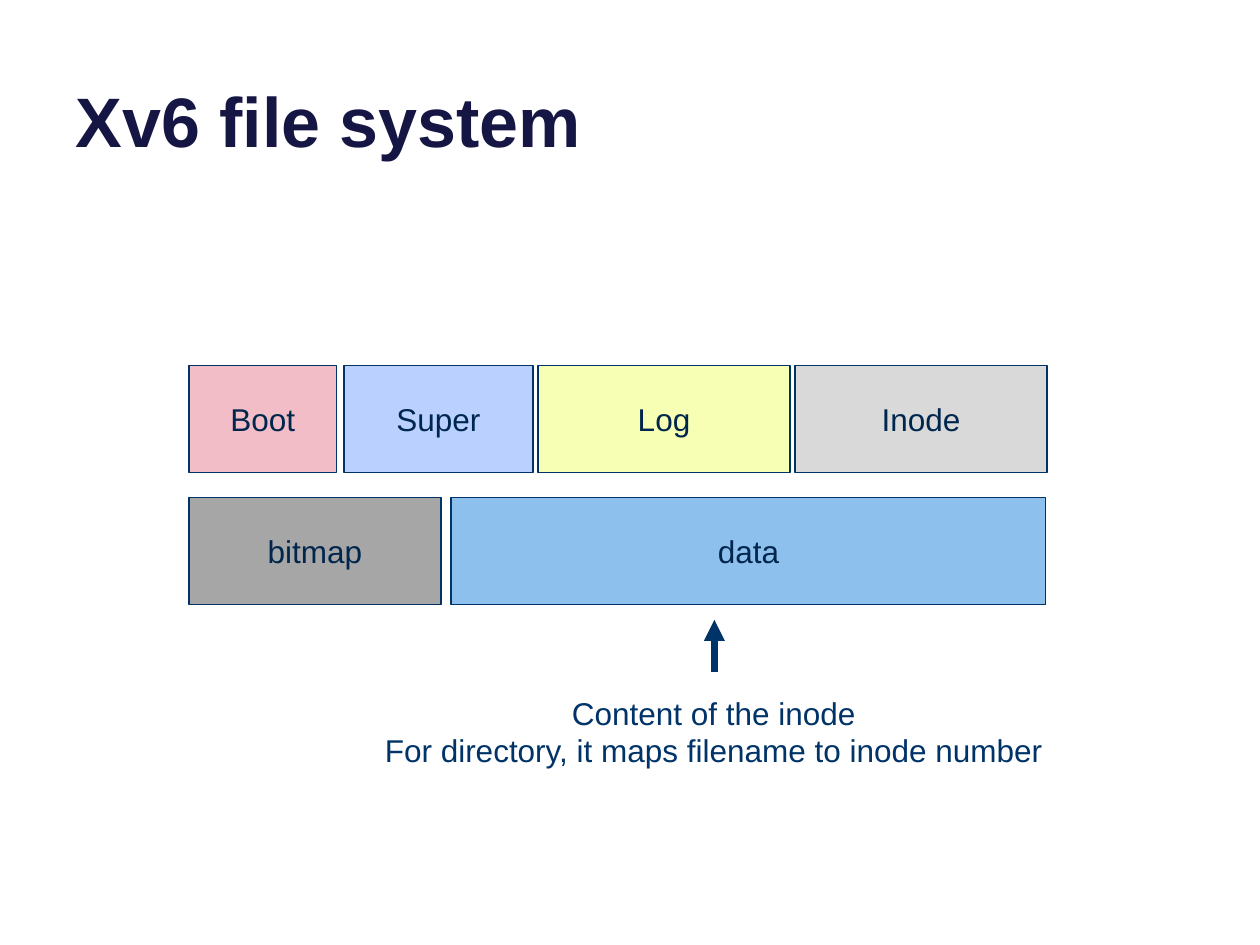
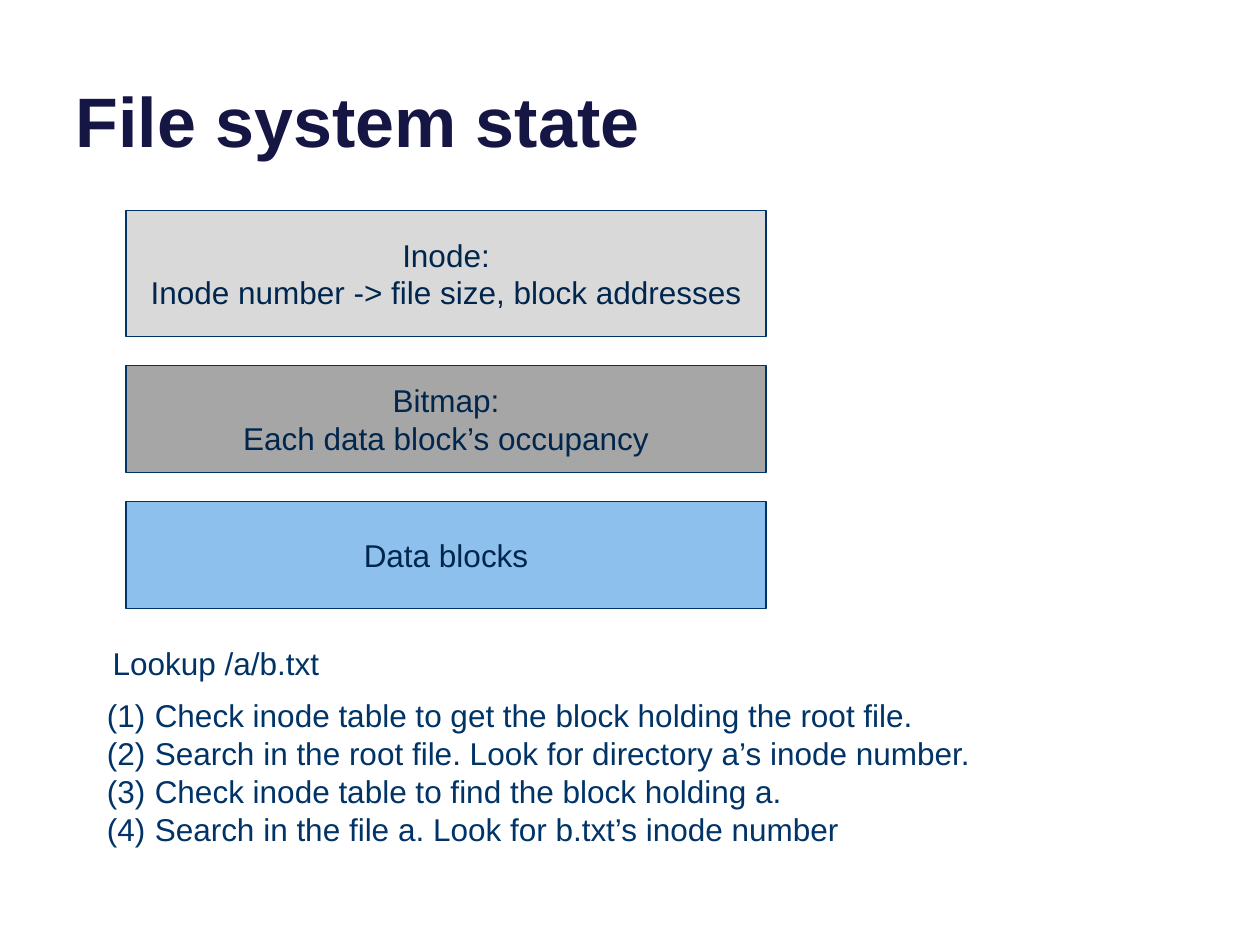
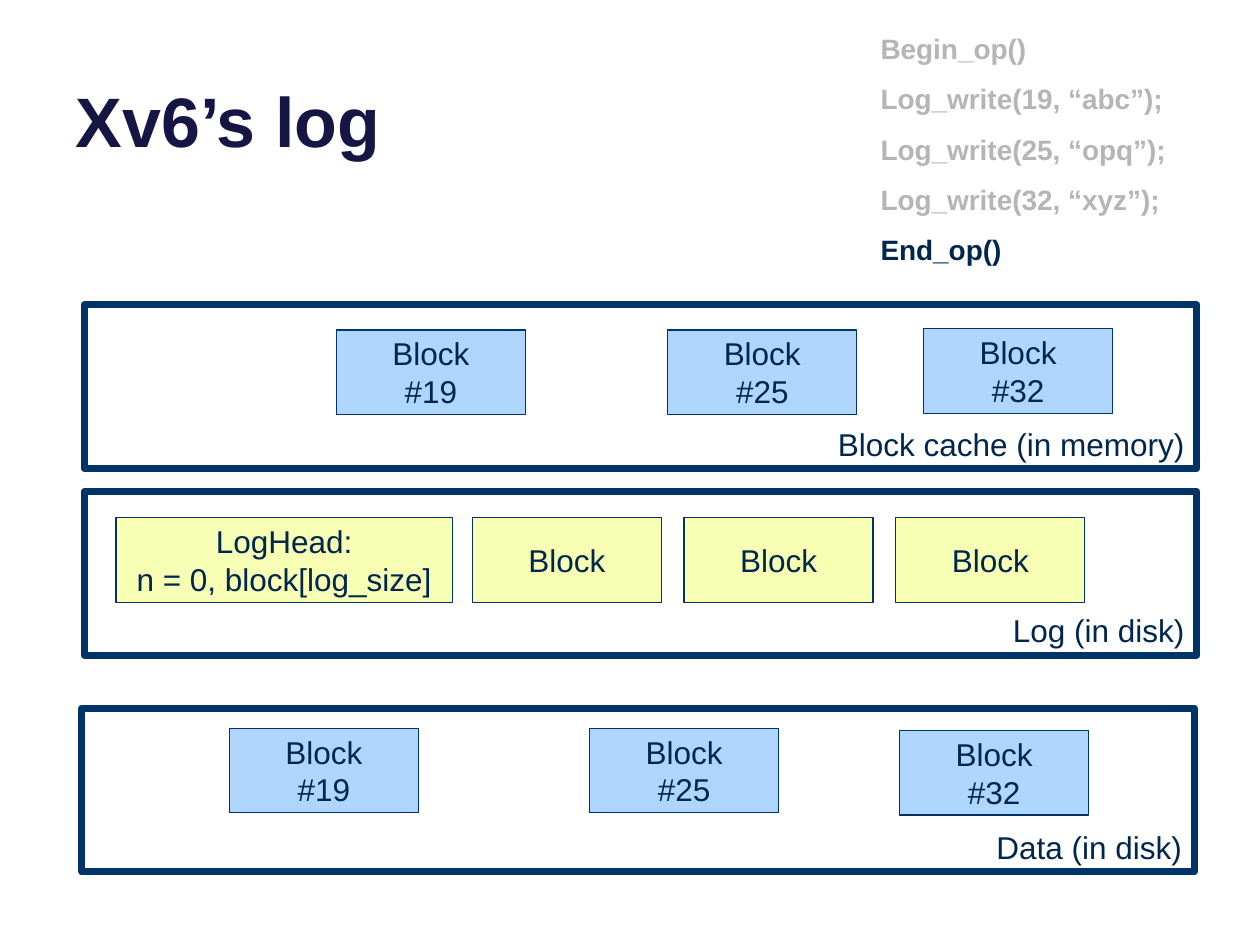
from pptx import Presentation
from pptx.dml.color import RGBColor
from pptx.enum.shapes import MSO_CONNECTOR, MSO_SHAPE
from pptx.enum.text import MSO_ANCHOR, MSO_AUTO_SIZE, PP_ALIGN
from pptx.oxml.ns import qn
from pptx.util import Inches, Pt
from lxml import etree

RECT = MSO_SHAPE.RECTANGLE
STRAIGHT = MSO_CONNECTOR.STRAIGHT
LEFT, CENTER, RIGHT = PP_ALIGN.LEFT, PP_ALIGN.CENTER, PP_ALIGN.RIGHT
TOP, MIDDLE, BOTTOM = MSO_ANCHOR.TOP, MSO_ANCHOR.MIDDLE, MSO_ANCHOR.BOTTOM
NO_FIT = MSO_AUTO_SIZE.NONE

FONT = "Arial"
TITLE = "161645"
NAVY = "003367"
INK = "00264D"
FADED = "B5B5B5"
PINK = "F3BDC7"
LILAC = "BAD1FF"
LEMON = "F6FFB3"
SILVER = "D9D9D9"
GRAY = "A6A6A6"
BLUE = "8EC0ED"
SKY = "AED6FF"


def color(code):
    return RGBColor.from_string(code)


def number(para):
    props = para._p.get_or_add_pPr()
    props.set("marL", str(Inches(0.38)))
    props.set("indent", str(-Inches(0.38)))
    etree.SubElement(props, qn("a:buAutoNum"), type="arabicParenBoth")


def write(frame, text, size=18, ink=INK, bold=False, align=CENTER,
          anchor=MIDDLE, wrap=True, gap=0, listed=False):
    frame.word_wrap = wrap
    frame.auto_size = NO_FIT
    frame.vertical_anchor = anchor
    frame.text = text
    for index, para in enumerate(frame.paragraphs):
        if listed:
            number(para)
        para.alignment = align
        para.space_before = Pt(gap if index else 0)
        for run in para.runs:
            run.font.name = FONT
            run.font.size = Pt(size)
            run.font.bold = bold
            run.font.color.rgb = color(ink)


def place(*box):
    return [Inches(length) for length in box]


def start(deck, text):
    slide = deck.slides.add_slide(deck.slide_layouts[5])
    title = slide.shapes.title
    title.left, title.top, title.width, title.height = place(0.5, -0.37, 9, 1.7)
    write(title.text_frame, text, size=40, ink=TITLE, bold=True,
          align=LEFT, anchor=BOTTOM)
    return slide


def block(slide, text, box, fill=None, weight=0.75, **style):
    shape = slide.shapes.add_shape(RECT, *place(*box))
    shape.shadow.inherit = False
    if fill:
        shape.fill.solid()
        shape.fill.fore_color.rgb = color(fill)
    else:
        shape.fill.background()
    shape.line.color.rgb = color(NAVY)
    shape.line.width = Pt(weight)
    write(shape.text_frame, text, **style)


def frame(slide, text, left, top):
    block(slide, text, (left, top, 8.83, 1.3), weight=4,
          align=RIGHT, anchor=BOTTOM)


def label(slide, text, box, **style):
    shape = slide.shapes.add_textbox(*place(*box))
    write(shape.text_frame, text, **style)
    return shape


def arrow(slide, *ends):
    line = slide.shapes.add_connector(STRAIGHT, *place(*ends))
    line.line.color.rgb = color(NAVY)
    line.line.width = Pt(4)
    etree.SubElement(line.line._get_or_add_ln(), qn("a:tailEnd"), type="triangle")
    etree.SubElement(line._element.spPr, qn("a:effectLst"))


def layout(deck):
    slide = start(deck, "Xv6 file system")
    for text, left, top, width, fill in (
        ("Boot", 1.5, 2.9, 1.17, PINK),
        ("Super", 2.73, 2.9, 1.5, LILAC),
        ("Log", 4.27, 2.9, 2, LEMON),
        ("Inode", 6.31, 2.9, 2, SILVER),
        ("bitmap", 1.5, 3.95, 2, GRAY),
        ("data", 3.58, 3.95, 4.72, BLUE),
    ):
        block(slide, text, (left, top, width, 0.85), fill)
    arrow(slide, 5.67, 5.33, 5.67, 4.92)
    label(slide, "Content of the inode\nFor directory, it maps filename to inode number",
          (2.93, 5.45, 5.47, 0.71), ink=NAVY, wrap=False)


def state(deck):
    slide = start(deck, "File system state")
    top = 1.67
    for text, height, fill in (
        ("Inode:\nInode number -> file size, block addresses", 1, SILVER),
        ("Bitmap:\nEach data block’s occupancy", 0.85, GRAY),
        ("Data blocks", 0.85, BLUE),
    ):
        block(slide, text, (1, top, 5.08, height), fill)
        top += height + 0.23
    label(slide, "Lookup /a/b.txt", (0.75, 5.06, 1.93, 0.4), ink=NAVY, wrap=False)
    steps = (
        "Check inode table to get the block holding the root file.",
        "Search in the root file. Look for directory a’s inode number.",
        "Check inode table to find the block holding a.",
        "Search in the file a. Look for b.txt’s inode number",
    )
    label(slide, "\n".join(steps), (0.75, 5.47, 7.49, 1.31),
          ink=NAVY, align=LEFT, listed=True)


def log(deck):
    slide = start(deck, "Xv6’s log")
    calls = ("Begin_op()", "Log_write(19, “abc”);", "Log_write(25, “opq”);",
             "Log_write(32, “xyz”);", "End_op()")
    code = label(slide, "\n".join(calls), (6.89, 0.2, 2.58, 2), size=16,
                 ink=FADED, bold=True, align=LEFT, anchor=TOP, gap=9.6)
    code.text_frame.paragraphs[-1].runs[0].font.color.rgb = color(INK)

    frame(slide, "Block cache (in memory)", 0.67, 2.42)
    frame(slide, "Log (in disk)", 0.67, 3.9)
    frame(slide, "Data (in disk)", 0.65, 5.62)
    for mark, left, top in (
        (19, 2.67, 2.62), (25, 5.3, 2.62), (32, 7.33, 2.61),
        (19, 1.82, 5.78), (25, 4.68, 5.78), (32, 7.14, 5.8),
    ):
        block(slide, f"Block\n#{mark}", (left, top, 1.5, 0.67), SKY)
    block(slide, "LogHead:\nn = 0, block[log_size]", (0.92, 4.11, 2.67, 0.67), LEMON)
    for index in range(3):
        block(slide, "Block", (3.75 + 1.68 * index, 4.11, 1.5, 0.67), LEMON)


def main():
    deck = Presentation()
    deck.slide_width, deck.slide_height = place(10, 7.5)
    layout(deck)
    state(deck)
    log(deck)
    deck.save("out.pptx")


if __name__ == "__main__":
    main()
